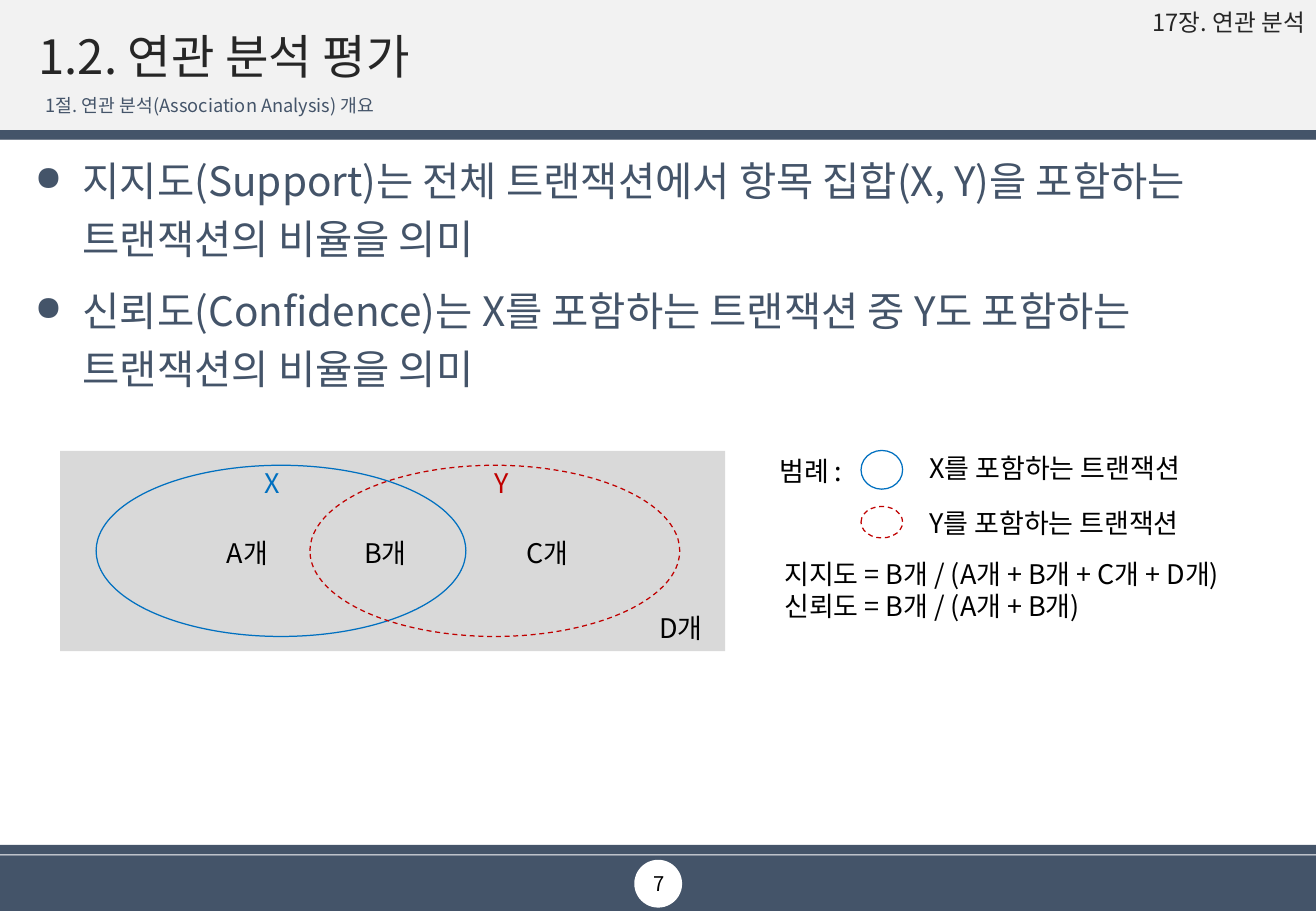
from dataclasses import dataclass

from lxml import etree
from pptx import Presentation
from pptx.dml.color import RGBColor
from pptx.enum.dml import MSO_LINE
from pptx.enum.shapes import MSO_CONNECTOR, MSO_SHAPE
from pptx.enum.text import MSO_ANCHOR, PP_ALIGN
from pptx.oxml.ns import qn
from pptx.util import Cm, Pt

RECT, OVAL = MSO_SHAPE.RECTANGLE, MSO_SHAPE.OVAL
STRAIGHT = MSO_CONNECTOR.STRAIGHT
DASH = MSO_LINE.DASH
TOP, MIDDLE = MSO_ANCHOR.TOP, MSO_ANCHOR.MIDDLE
LEFT, CENTER, RIGHT = PP_ALIGN.LEFT, PP_ALIGN.CENTER, PP_ALIGN.RIGHT


@dataclass(frozen=True)
class Theme:
    font: str = "Noto Sans CJK KR"
    navy: str = "445469"
    band: str = "F2F2F2"
    panel: str = "D9D9D9"
    white: str = "FFFFFF"
    ink: str = "262626"
    black: str = "000000"
    blue: str = "0070C0"
    red: str = "C00000"
    title: float = 28
    body: float = 24
    label: float = 16
    chapter: float = 14
    page: float = 12
    section: float = 10.8
    hairline: float = 0.75


THEME = Theme()
WIDTH, HEIGHT = 27.51, 19.05


@dataclass(frozen=True)
class Block:
    x: float
    y: float
    w: float
    h: float
    kind: int = RECT
    fill: str | None = None
    line: str | None = None
    dash: bool = False


@dataclass(frozen=True)
class Label:
    x: float
    y: float
    w: float
    h: float
    lines: tuple[str, ...]
    size: float = THEME.label
    color: str = THEME.black
    align: int = LEFT
    anchor: int = TOP
    margins: tuple[float, float, float, float] = (0.25, 0.13, 0.25, 0.13)
    spacing: float = 1.0
    before: float = 0
    bullet: bool = False


def apply(target: object, values: dict) -> None:
    for name, value in values.items():
        setattr(target, name, value)


def add_block(s, block: Block) -> None:
    sp = s.shapes.add_shape(block.kind, Cm(block.x), Cm(block.y), Cm(block.w), Cm(block.h))
    sp.shadow.inherit = False
    if block.fill:
        sp.fill.solid()
        sp.fill.fore_color.rgb = RGBColor.from_string(block.fill)
    else:
        sp.fill.background()
    if block.line:
        sp.line.color.rgb = RGBColor.from_string(block.line)
        sp.line.width = Pt(THEME.hairline)
        if block.dash:
            sp.line.dash_style = DASH
    else:
        sp.line.fill.background()


def add_rule(s, y: float) -> None:
    rule = s.shapes.add_connector(STRAIGHT, 0, Cm(y), Cm(WIDTH), Cm(y))
    rule.line.color.rgb = RGBColor.from_string(THEME.panel)
    rule.line.width = Pt(THEME.hairline)
    etree.SubElement(rule._element.spPr, qn("a:effectLst"))


def add_bullet(p) -> None:
    pPr = p._p.get_or_add_pPr()
    apply_indent = {"marL": Cm(1), "indent": -Cm(1)}
    for name, value in apply_indent.items():
        pPr.set(name, str(int(value)))
    color = etree.SubElement(pPr, qn("a:buClr"))
    etree.SubElement(color, qn("a:srgbClr"), val=THEME.navy)
    etree.SubElement(pPr, qn("a:buSzPct"), val="85000")
    etree.SubElement(pPr, qn("a:buChar"), char="●")


def add_label(s, label: Label) -> None:
    sp = s.shapes.add_textbox(Cm(label.x), Cm(label.y), Cm(label.w), Cm(label.h))
    tf = sp.text_frame
    left, top, right, bottom = (Cm(m) for m in label.margins)
    apply(tf, {"word_wrap": True, "vertical_anchor": label.anchor,
               "margin_left": left, "margin_top": top,
               "margin_right": right, "margin_bottom": bottom})
    for i, text in enumerate(label.lines):
        p = tf.add_paragraph() if i else tf.paragraphs[0]
        apply(p, {"alignment": label.align, "line_spacing": label.spacing,
                  "space_before": Pt(label.before)})
        if label.bullet:
            add_bullet(p)
        r = p.add_run()
        r.text = text
        apply(r.font, {"name": THEME.font, "size": Pt(label.size)})
        r.font.color.rgb = RGBColor.from_string(label.color)
        etree.SubElement(r._r.get_or_add_rPr(), qn("a:ea"), typeface=THEME.font)


FRAME = [
    Block(0, 0, WIDTH, 2.92, fill=THEME.band),
    Block(0, 17.89, WIDTH, 1.16, fill=THEME.navy),
    Block(0, 17.67, WIDTH, 0.2, fill=THEME.navy),
    Block(13.26, 17.98, 1, 1, OVAL, fill=THEME.white),
]
HEADER_BAR = Block(0, 2.72, WIDTH, 0.2, fill=THEME.navy)

VENN = [
    Block(1.26, 9.43, 13.9, 4.19, fill=THEME.panel),
    Block(2.01, 9.73, 7.73, 3.58, OVAL, line=THEME.blue),
    Block(6.48, 9.73, 7.73, 3.58, OVAL, line=THEME.red, dash=True),
]
LEGEND = [
    Block(18, 9.42, 0.87, 0.81, OVAL, line=THEME.blue),
    Block(18, 10.59, 0.87, 0.66, OVAL, line=THEME.red, dash=True),
]

HEADINGS = [
    Label(23.8, 0.13, 3.58, 0.74, ("17장. 연관 분석",), THEME.chapter, THEME.ink,
          RIGHT, margins=(0.1, 0.1, 0.1, 0.1), spacing=0.9, before=8.1),
    Label(0.56, 0.53, 26.39, 1.4, ("1.2. 연관 분석 평가",), THEME.title, THEME.ink,
          anchor=MIDDLE, spacing=0.9),
    Label(0.76, 1.96, 25.58, 0.61, ("1절. 연관 분석(Association Analysis) 개요",),
          THEME.section, THEME.navy, anchor=MIDDLE,
          margins=(0.2, 0.13, 0.25, 0.13), spacing=0.7, before=8.1),
]
DEFINITIONS = Label(
    0.48, 2.95, 26.52, 14.53,
    ("지지도(Support)는 전체 트랜잭션에서 항목 집합(X, Y)을 포함하는 트랜잭션의 비율을 의미",
     "신뢰도(Confidence)는 X를 포함하는 트랜잭션 중 Y도 포함하는 트랜잭션의 비율을 의미"),
    THEME.body, THEME.navy, margins=(0.25, 0.1, 0.25, 0.1),
    spacing=1.2, before=8.1, bullet=True)

COUNTS = [Label(x, 11.1, 1.4, 1.63, (f"{name}개",), align=CENTER)
          for name, x in (("A", 4.47), ("B", 7.36), ("C", 10.74))]
SET_NAMES = [Label(x, 9.63, 3.35, 0.94, (name,), color=color, align=CENTER)
             for name, x, color in (("X", 4.01, THEME.blue), ("Y", 8.82, THEME.red))]
LEGEND_TEXTS = [Label(19.18, y, 6.25, 0.94, (f"{name}를 포함하는 트랜잭션",))
                for name, y in (("X", 9.32), ("Y", 10.47))]
NOTES = [
    Label(13.36, 12.65, 1.75, 0.94, ("D개",), align=CENTER),
    Label(15.27, 9.37, 2.59, 0.94, ("범례 :",), align=RIGHT),
    Label(16.15, 11.53, 10.8, 1.63,
          ("지지도 = B개 / (A개 + B개 + C개 + D개)", "신뢰도 = B개 / (A개 + B개)")),
    Label(10.67, 17.98, 6.2, 1, ("7",), THEME.page, align=CENTER, anchor=MIDDLE),
]


def main() -> None:
    prs = Presentation()
    apply(prs, {"slide_width": Cm(WIDTH), "slide_height": Cm(HEIGHT)})
    s = prs.slides.add_slide(prs.slide_layouts[6])
    for block in FRAME:
        add_block(s, block)
    add_rule(s, 2.92)
    for block in [HEADER_BAR, *VENN, *LEGEND]:
        add_block(s, block)
    for label in [*HEADINGS, DEFINITIONS, *COUNTS, *SET_NAMES, *LEGEND_TEXTS, *NOTES]:
        add_label(s, label)
    prs.save("out.pptx")


if __name__ == "__main__":
    main()
